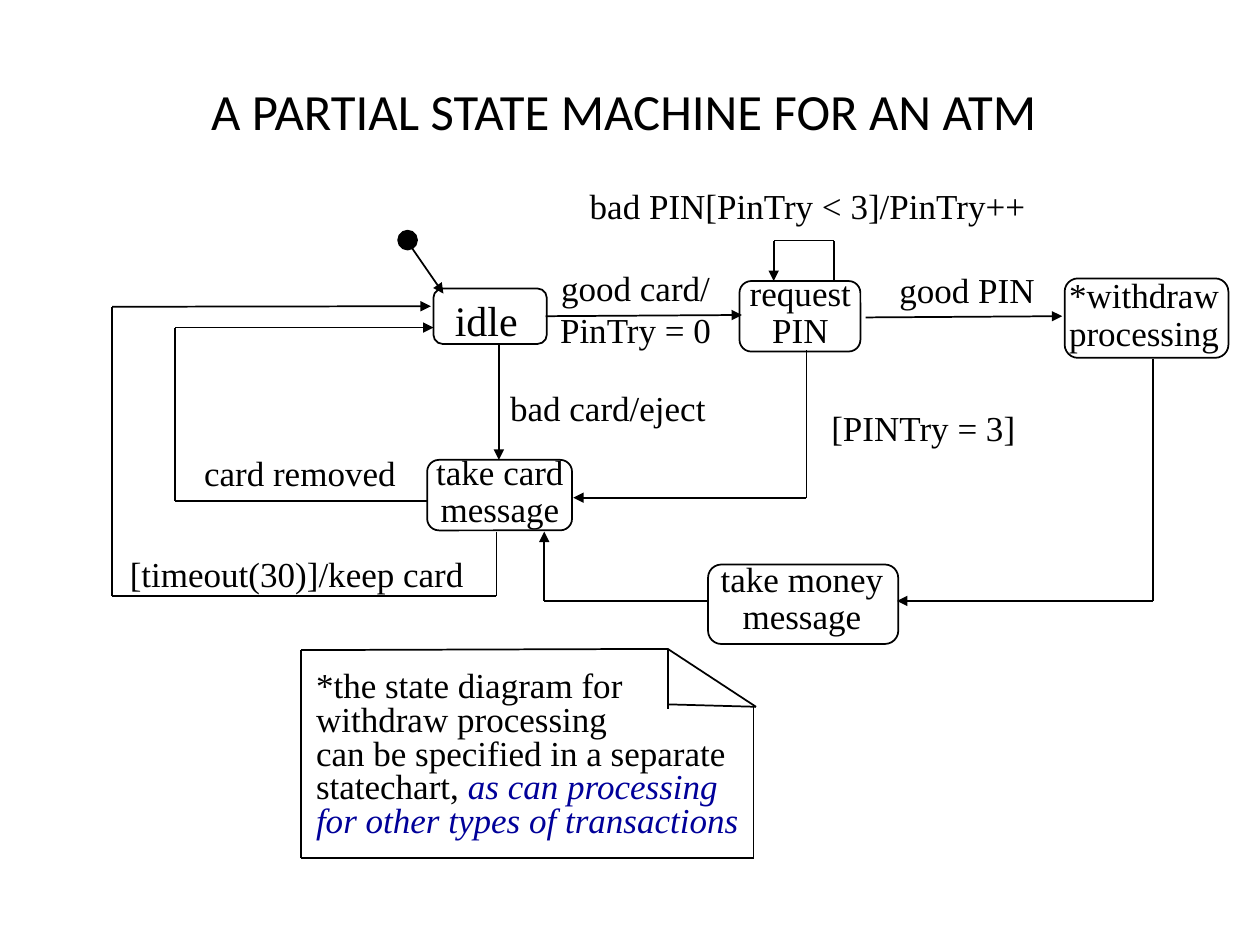
from dataclasses import dataclass

from lxml import etree
from pptx import Presentation
from pptx.dml.color import RGBColor
from pptx.enum.shapes import MSO_CONNECTOR, MSO_SHAPE
from pptx.enum.text import MSO_ANCHOR, MSO_AUTO_SIZE, PP_ALIGN
from pptx.oxml.ns import qn
from pptx.util import Pt

STRAIGHT = MSO_CONNECTOR.STRAIGHT
ROUNDED, OVAL = MSO_SHAPE.ROUNDED_RECTANGLE, MSO_SHAPE.OVAL
MIDDLE, FIT = MSO_ANCHOR.MIDDLE, MSO_AUTO_SIZE.SHAPE_TO_FIT_TEXT
NO_FIT = MSO_AUTO_SIZE.NONE
LEFT, CENTER = PP_ALIGN.LEFT, PP_ALIGN.CENTER


@dataclass(frozen=True)
class Theme:
    """Colours, fonts and type sizes of the slide."""
    ink: RGBColor = RGBColor(0, 0, 0)
    paper: RGBColor = RGBColor(255, 255, 255)
    accent: RGBColor = RGBColor(0, 0, 0x99)
    title_font: str = "Calibri"
    body_font: str = "Times New Roman"
    title_size: float = 29
    state_size: float = 24
    body_size: float = 20
    line_width: float = 1


class Diagram:
    """Draws state machine elements on the current slide."""

    def __init__(self, slide, theme):
        self.slide, self.theme = slide, theme
        self.canvas = slide.shapes

    def start_group(self):
        self.canvas = self.slide.shapes.add_group_shape().shapes

    def style_font(self, font, name, size):
        font.name, font.size = name, Pt(size)
        font.color.rgb = self.theme.ink

    def title(self, wording, bounds):
        heading = self.slide.shapes.title
        heading.left, heading.top, heading.width, heading.height = map(Pt, bounds)
        frame = heading.text_frame
        frame.text = wording
        frame.vertical_anchor, frame.auto_size = MIDDLE, NO_FIT
        line = frame.paragraphs[0]
        line.alignment, line.line_spacing = CENTER, 0.99
        self.style_font(line.font, self.theme.title_font, self.theme.title_size)

    def text(self, lines, bounds, size=None, spacing=1.0, align=CENTER):
        frame = self.canvas.add_textbox(*map(Pt, bounds)).text_frame
        frame.word_wrap, frame.auto_size = False, FIT
        frame.vertical_anchor = MIDDLE
        for index, wording in enumerate(lines):
            line = frame.add_paragraph() if index else frame.paragraphs[0]
            line.alignment, line.line_spacing = align, spacing
            self.style_font(line.font, self.theme.body_font, size or self.theme.body_size)
            plain, _, emphasis = wording.partition("|")
            if plain:
                line.add_run().text = plain
            if emphasis:
                accented = line.add_run()
                accented.text = emphasis
                accented.font.italic = True
                accented.font.color.rgb = self.theme.accent

    def node(self, kind, bounds, fill):
        node = self.canvas.add_shape(kind, *map(Pt, bounds))
        node.shadow.inherit = False
        node.fill.solid()
        node.fill.fore_color.rgb = fill
        node.line.color.rgb = self.theme.ink
        node.line.width = Pt(self.theme.line_width)

    def state(self, lines, bounds, text_bounds, size=None):
        self.node(ROUNDED, bounds, self.theme.paper)
        self.text(lines, text_bounds, size, 0.9 if len(lines) > 1 else 1.0)

    def route(self, points, arrow=True):
        for start, end in zip(points, points[1:]):
            segment = self.canvas.add_connector(STRAIGHT, *map(Pt, start + end))
            segment.line.color.rgb = self.theme.ink
            segment.line.width = Pt(self.theme.line_width)
            properties = segment._element.spPr
            if arrow and end == points[-1]:
                outline = properties.find(qn("a:ln"))
                etree.SubElement(outline, qn("a:tailEnd"), type="triangle")
            etree.SubElement(properties, qn("a:effectLst"))


STATES = [
    (["request", "PIN"], (422.6, 160.6, 69.1, 40.3), (417.4, 154.1, 80, 50.4)),
    (["take card", "message"], (244.1, 262.8, 82.8, 40.3), (238.2, 256.3, 95, 50.4)),
    (["*withdraw", "processing"], (608.4, 159.1, 93.6, 45.4), (587.5, 155.5, 132.5, 50.4)),
    (["take money", "message"], (404.6, 322.6, 108.7, 45.4), (398.9, 317.5, 118.8, 50.4)),
]

TRANSITIONS = [
    [(234, 139.7), (253.4, 167.8)],
    [(311.8, 180.7), (424, 180)],
    [(285.1, 196.6), (285.1, 262.8)],
    [(244.1, 286.2), (100.1, 286.2), (100.1, 187.2), (247.7, 187.2)],
    [(283.7, 303.8), (283.7, 340.6), (64.1, 340.6), (64.1, 175.3), (246.2, 175)],
    [(494.6, 181.4), (607, 180.7)],
    [(460.8, 200.2), (460.8, 284.4), (327.6, 284.4)],
    [(476.6, 159.8), (476.6, 137.5), (442.1, 137.5), (442.1, 160.6)],
    [(658.8, 205.2), (658.8, 343.4), (512.6, 343.4)],
    [(404.6, 343.4), (311, 343.4), (311, 303.8)],
]

EVENTS = [
    (["good card/", "PinTry = 0"], (311.2, 148.5, 104, 55.4)),
    (["bad card/eject"], (284.4, 217, 126, 31.7)),
    (["card removed"], (108.4, 254.2, 126, 31.7)),
    (["[timeout(30)]/keep card"], (65.6, 311.8, 208, 31.7)),
    (["good PIN"], (504.6, 149.8, 96, 31.7)),
    (["[PINTry = 3]"], (466.1, 228.6, 123, 31.7)),
    (["bad PIN[PinTry < 3]/PinTry++"], (327, 101.5, 269, 31.7)),
]

NOTE = [
    "*the state diagram for",
    "withdraw processing",
    "can be specified in a separate",
    "statechart, |as can processing",
    "|for other types of transactions",
]
NOTE_OUTLINE = [(381.6, 370.8), (172.1, 371.5), (172.1, 490.3), (430.6, 490.3), (430.6, 402.5)]
NOTE_FOLD = [(381.6, 402.5), (432, 403.9), (381.6, 370.8), (381.6, 405.4)]


def main():
    deck = Presentation()
    deck.slide_width, deck.slide_height = Pt(720), Pt(540)
    theme = Theme()
    diagram = Diagram(deck.slides.add_slide(deck.slide_layouts[5]), theme)
    diagram.title("A PARTIAL STATE MACHINE FOR AN ATM ", (0, 18, 720, 92.2))
    diagram.state(["idle"], (247.7, 164.9, 64.8, 31.7), (250.9, 164.9, 54, 36),
                  theme.state_size)
    for state in STATES:
        diagram.state(*state)
    for points in TRANSITIONS:
        diagram.route(points)
    diagram.node(OVAL, (227.5, 131.8, 10.8, 10.8), theme.ink)
    for event in EVENTS:
        diagram.text(*event)
    diagram.start_group()
    diagram.text(NOTE, (173.5, 380.2, 262, 103.7), spacing=0.8, align=LEFT)
    for points in (NOTE_OUTLINE, NOTE_FOLD):
        diagram.route(points, arrow=False)
    deck.save("out.pptx")


if __name__ == "__main__":
    main()
